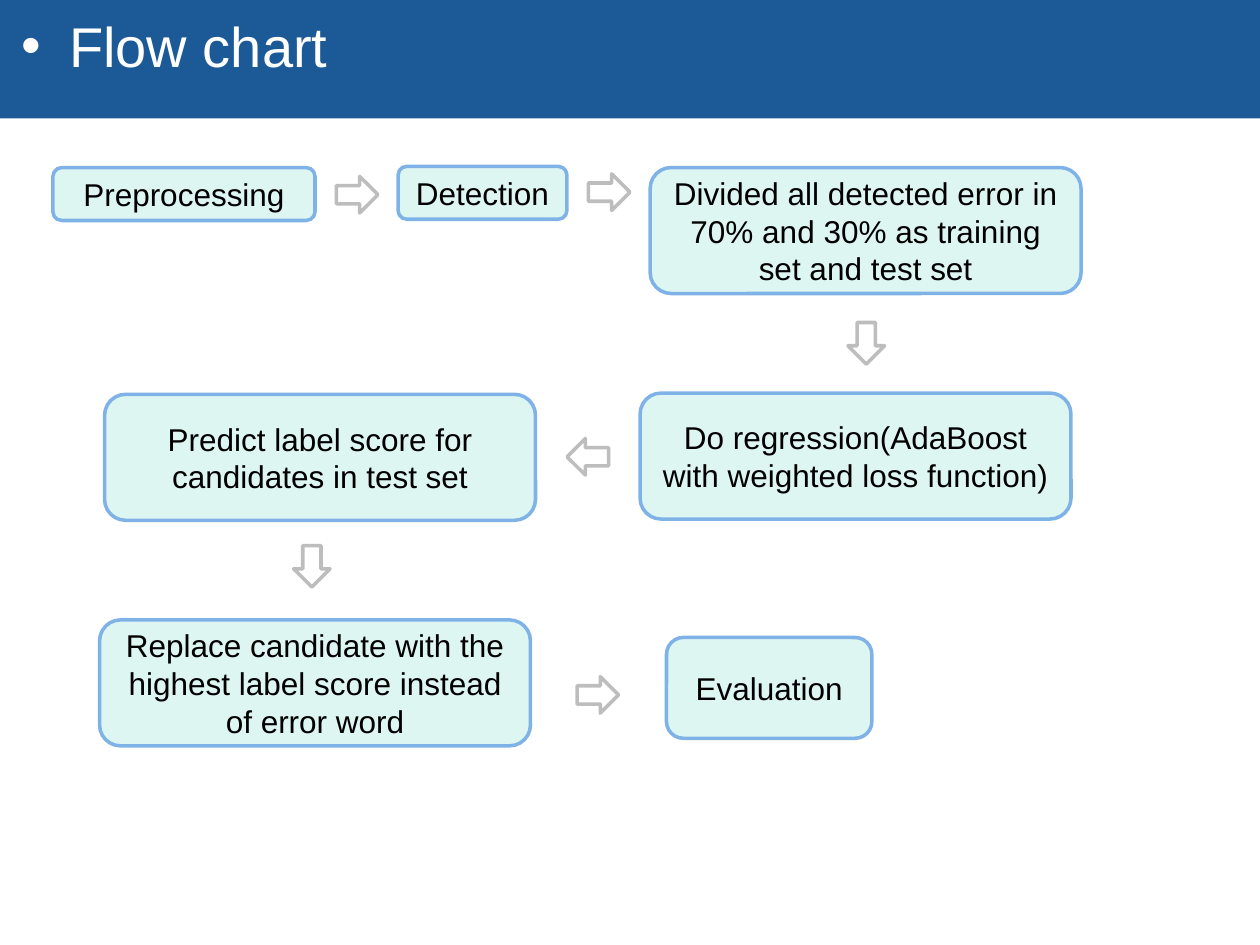
from lxml.etree import SubElement
from pptx import Presentation
from pptx.dml.color import RGBColor
from pptx.enum.shapes import MSO_SHAPE as Shape
from pptx.enum.text import MSO_ANCHOR as Anchor, PP_ALIGN as Align
from pptx.oxml.ns import qn
from pptx.util import Inches, Pt

TITLE = "Flow chart"
LARGE = (3.42, 1)
STEPS = [
    ("Preprocessing", (0.42, 1.33), (2.08, 0.42)),
    ("Detection", (3.16, 1.32), (1.34, 0.42)),
    ("Divided all detected error in 70% and 30% as training set and test set", (5.16, 1.33), LARGE),
    ("Do regression(AdaBoost with weighted loss function)", (5.08, 3.12), LARGE),
    ("Predict label score for candidates in test set", (0.83, 3.13), LARGE),
    ("Replace candidate with the highest label score instead of error word", (0.79, 4.92), LARGE),
    ("Evaluation", (5.29, 5.06), (1.63, 0.8)),
]
RIGHT, DOWN, LEFT = 0, 90, 180
ARROW_SIZE = (0.33, 0.29)
ARROWS = [
    ((2.67, 1.4), RIGHT),
    ((4.67, 1.38), RIGHT),
    ((6.71, 2.58), DOWN),
    ((4.5, 3.48), LEFT),
    ((2.31, 4.35), DOWN),
    ((4.58, 5.37), RIGHT),
]
THEME = {
    "font": "Arial",
    "title_size": 32,
    "step_size": 18,
    "line_width": 2,
    "banner": "1C5997",
    "title": "FFFFFF",
    "step_fill": "DEF6F1",
    "step_line": "7FB3E7",
    "step_text": "000000",
    "arrow_fill": "FFFFFF",
    "arrow_line": "BDBDBD",
}


def apply_format(target, values):
    for name, value in values.items():
        setattr(target, name, value)


def theme_color(key):
    return RGBColor.from_string(THEME[key])


def add_block(slide, kind, position, size, fill, line=None):
    shape = slide.shapes.add_shape(kind, *map(Inches, position + size))
    shape.shadow.inherit = False
    shape.fill.solid()
    shape.fill.fore_color.rgb = theme_color(fill)
    if line:
        shape.line.color.rgb = theme_color(line)
        shape.line.width = Pt(THEME["line_width"])
    else:
        shape.line.fill.background()
    return shape


def write_text(shape, text, size, color, frame_format, alignment):
    frame = shape.text_frame
    apply_format(frame, {"word_wrap": True, **frame_format})
    paragraph = frame.paragraphs[0]
    paragraph.alignment = alignment
    run = paragraph.add_run()
    run.text = text
    apply_format(run.font, {"name": THEME["font"], "size": Pt(THEME[size])})
    run.font.color.rgb = theme_color(color)
    return paragraph


def add_bullet(paragraph, indent):
    properties = paragraph._p.get_or_add_pPr()
    properties.set("marL", str(Inches(indent)))
    properties.set("indent", str(-Inches(indent)))
    SubElement(properties, qn("a:buFont"), typeface=THEME["font"])
    SubElement(properties, qn("a:buChar"), char="•")


def add_title(slide):
    add_block(slide, Shape.RECTANGLE, (0, 0), (10.02, 0.94), "banner")
    box = slide.shapes.add_textbox(0, 0, Inches(10), Inches(0.94))
    margins = {"margin_left": Inches(0.17), "margin_top": Inches(0.09)}
    paragraph = write_text(box, TITLE, "title_size", "title", margins, Align.LEFT)
    add_bullet(paragraph, 0.38)


def main():
    presentation = Presentation()
    apply_format(presentation, {"slide_width": Inches(10), "slide_height": Inches(7.5)})
    slide = presentation.slides.add_slide(presentation.slide_layouts[6])
    add_title(slide)
    for text, position, size in STEPS:
        step = add_block(slide, Shape.ROUNDED_RECTANGLE, position, size, "step_fill", "step_line")
        write_text(step, text, "step_size", "step_text",
                   {"vertical_anchor": Anchor.MIDDLE}, Align.CENTER)
    for position, rotation in ARROWS:
        arrow = add_block(slide, Shape.RIGHT_ARROW, position, ARROW_SIZE, "arrow_fill", "arrow_line")
        arrow.rotation = rotation
    presentation.save("out.pptx")


if __name__ == "__main__":
    main()
